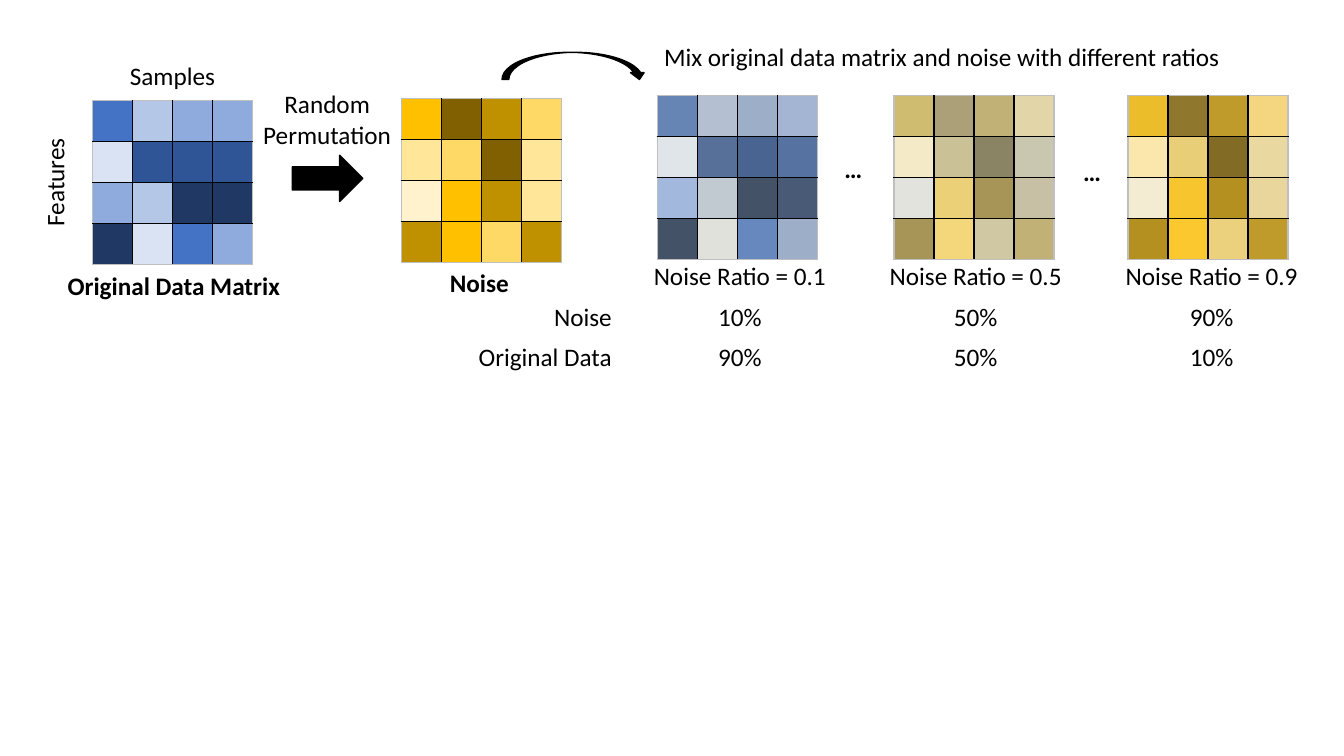
from lxml import etree
from pptx import Presentation
from pptx.dml.color import RGBColor
from pptx.enum.shapes import MSO_SHAPE
from pptx.enum.text import MSO_ANCHOR, PP_ALIGN
from pptx.oxml.ns import qn
from pptx.util import Pt

RIGHT_ARROW = MSO_SHAPE.RIGHT_ARROW
CURVED_ARROW = MSO_SHAPE.CURVED_DOWN_ARROW
CENTER, RIGHT = PP_ALIGN.CENTER, PP_ALIGN.RIGHT
MIDDLE = MSO_ANCHOR.MIDDLE
BLACK, EDGE = "000000", "BFBFBF"
MATRIX_WIDTH, MATRIX_HEIGHT = 114.4, 116.8

ORIGINAL_DATA = [
    ["4472C4", "B4C7E7", "8FAADC", "8FAADC"],
    ["DAE3F3", "2F5597", "2F5597", "2F5597"],
    ["8FAADC", "B4C7E7", "203864", "203864"],
    ["203864", "DAE3F3", "4472C4", "8FAADC"],
]
NOISE = [
    ["FFC000", "806000", "BF9000", "FFD966"],
    ["FFE699", "FFD966", "806000", "FFE699"],
    ["FFF2CC", "FFC000", "BF9000", "FFE699"],
    ["BF9000", "FFC000", "FFD966", "BF9000"],
]
RATIOS = [
    ["", "Noise Ratio = 0.1", "Noise Ratio = 0.5", "Noise Ratio = 0.9"],
    ["Noise", "10%", "50%", "90%"],
    ["Original Data", "90%", "50%", "10%"],
]


def color(hex_value):
    return RGBColor.from_string(hex_value)


def format_runs(paragraph, align, bold=False):
    paragraph.alignment = align
    for run in paragraph.runs:
        run.font.name = "Calibri"
        run.font.size = Pt(18)
        run.font.bold = bold
        run.font.color.rgb = color(BLACK)


def set_borders(cell, sides):
    properties = cell._tc.get_or_add_tcPr()
    for index, (side, hex_value) in enumerate(sides.items()):
        line = etree.Element(qn(f"a:ln{side}"), w=str(Pt(1)))
        if hex_value:
            fill = etree.SubElement(line, qn("a:solidFill"))
            etree.SubElement(fill, qn("a:srgbClr"), val=hex_value)
        else:
            etree.SubElement(line, qn("a:noFill"))
        properties.insert(index, line)


def add_plain_table(slide, rows, columns, left, top, width, height):
    frame = slide.shapes.add_table(rows, columns, Pt(left), Pt(top), Pt(width), Pt(height))
    table = frame.table
    table.first_row = False
    table.horz_banding = False
    for row in table.rows:
        row.height = Pt(height / rows)
    return table


def add_matrix(slide, shades, left, top, opacity=100):
    size = len(shades)
    matrix = add_plain_table(slide, size, size, left, top, MATRIX_WIDTH, MATRIX_HEIGHT)
    last = size - 1
    for row, row_shades in enumerate(shades):
        for column, shade in enumerate(row_shades):
            cell = matrix.cell(row, column)
            cell.margin_top = cell.margin_bottom = 0
            cell.fill.solid()
            cell.fill.fore_color.rgb = color(shade)
            if opacity < 100:
                tint = cell._tc.tcPr.find(".//" + qn("a:srgbClr"))
                etree.SubElement(tint, qn("a:alpha"), val=str(opacity * 1000))
            set_borders(cell, {
                "L": EDGE if column == 0 else BLACK,
                "R": EDGE if column == last else BLACK,
                "T": EDGE if row == 0 else BLACK,
                "B": EDGE if row == last else BLACK,
            })


def add_mixture(slide, noise_percent, left, top):
    layers = [(ORIGINAL_DATA, 100 - noise_percent), (NOISE, noise_percent)]
    for shades, opacity in sorted(layers, key=lambda layer: -layer[1]):
        add_matrix(slide, shades, left, top, opacity)


def add_label(slide, wording, left, top, width, height=28.8, bold=False, rotation=0):
    label = slide.shapes.add_textbox(Pt(left), Pt(top), Pt(width), Pt(height))
    label.rotation = rotation
    frame = label.text_frame
    frame.word_wrap = True
    frame.margin_left = frame.margin_right = 0
    frame.text = wording
    format_runs(frame.paragraphs[0], CENTER, bold)


def add_arrow(slide, kind, left, top, width, height):
    arrow = slide.shapes.add_shape(kind, Pt(left), Pt(top), Pt(width), Pt(height))
    arrow.shadow.inherit = False
    arrow.fill.solid()
    arrow.fill.fore_color.rgb = color(BLACK)
    arrow.line.color.rgb = color(BLACK)
    arrow.line.width = Pt(1)


def add_source_region(slide, left, top):
    add_matrix(slide, ORIGINAL_DATA, left, top)
    add_label(slide, "Samples", left + 18.8, top - 32.4, 76.3)
    add_label(slide, "Features", left - 66.2, top + 43.9, 77.8, rotation=270)
    add_label(slide, "Original Data Matrix", left - 25.9, top + 117.4, 167.8, bold=True)


def add_noise_region(slide, left, top):
    add_label(slide, "Random Permutation", left - 113.8, top - 10.8, 121.7, 51.1)
    add_arrow(slide, RIGHT_ARROW, left - 77.8, top + 40.3, 50.4, 33.1)
    add_matrix(slide, NOISE, left, top)
    add_label(slide, "Noise", left + 27.4, top + 116.6, 56.9, bold=True)


def add_ratio_table(slide, left, top):
    widths = [115.2, 168.5, 168.5, 168.5]
    ratios = add_plain_table(slide, len(RATIOS), len(widths), left, top, sum(widths), 86.4)
    for column, width in zip(ratios.columns, widths):
        column.width = Pt(width)
    for row, wordings in enumerate(RATIOS):
        for column, wording in enumerate(wordings):
            cell = ratios.cell(row, column)
            cell.margin_top = cell.margin_bottom = Pt(3.3)
            cell.vertical_anchor = MIDDLE
            cell.fill.background()
            set_borders(cell, dict.fromkeys("LRTB"))
            cell.text_frame.text = wording
            format_runs(cell.text_frame.paragraphs[0], CENTER if column else RIGHT)


def add_mixing_region(slide, left, top):
    add_arrow(slide, CURVED_ARROW, left - 110.8, top - 31, 103, 19.4)
    add_label(slide, "Mix original data matrix and noise with different ratios",
              left - 18.7, top - 42.5, 444.2)
    for noise_percent, offset in ((10, 0), (50, 169.2), (90, 336.3)):
        add_mixture(slide, noise_percent, left + offset, top)
    add_label(slide, "…", left + 124.6, top + 37.4, 31, bold=True)
    add_label(slide, "…", left + 295.2, top + 39.6, 31, bold=True)
    add_ratio_table(slide, left - 140.4, top + 115.2)


def main():
    presentation = Presentation()
    presentation.slide_width = Pt(960)
    presentation.slide_height = Pt(540)
    slide = presentation.slides.add_slide(presentation.slide_layouts[6])
    add_source_region(slide, 66.2, 72)
    add_noise_region(slide, 286.6, 70.6)
    add_mixing_region(slide, 469.4, 68.4)
    presentation.save("out.pptx")


if __name__ == "__main__":
    main()
